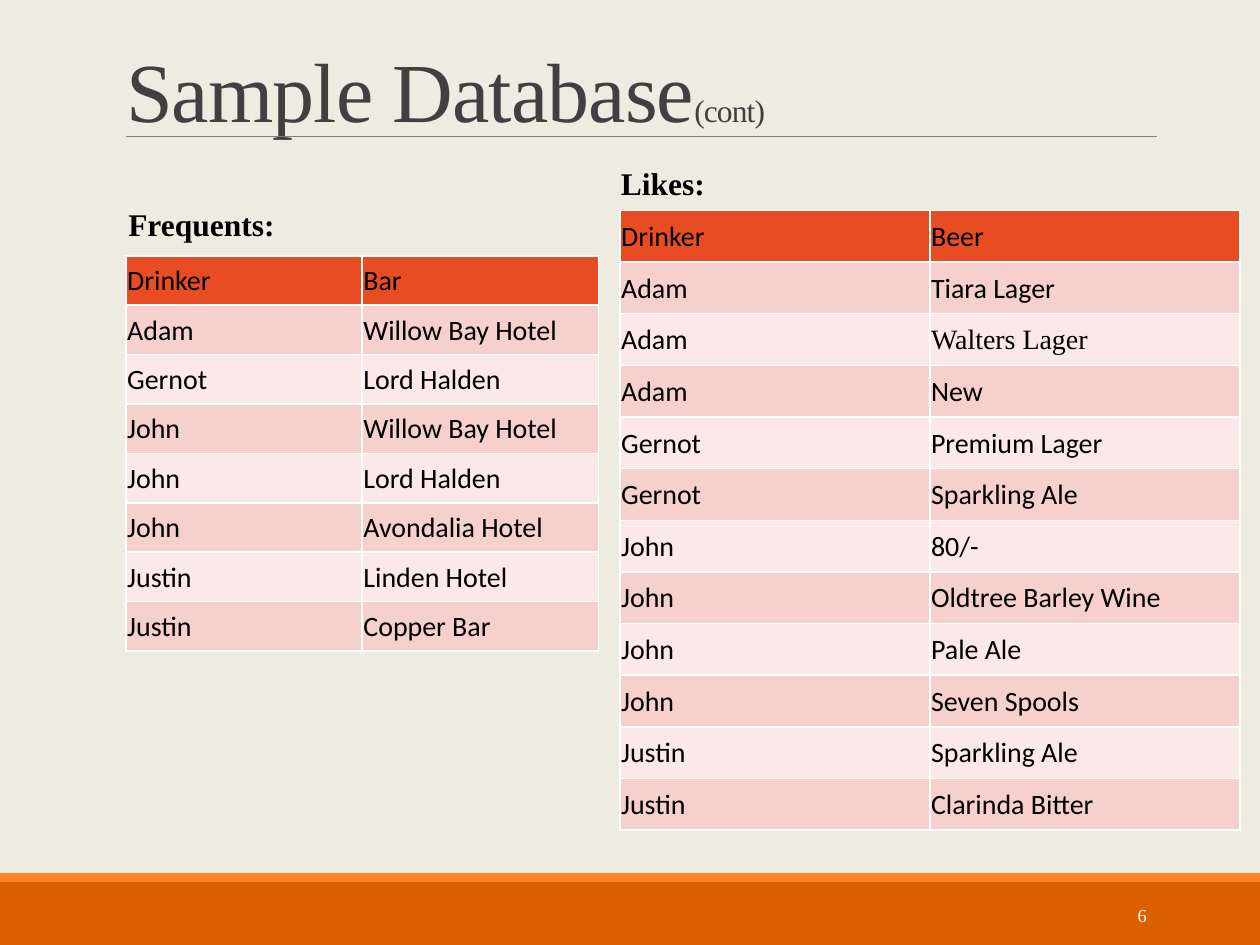
from dataclasses import dataclass

from lxml.etree import SubElement
from pptx import Presentation
from pptx.dml.color import RGBColor
from pptx.enum.shapes import MSO_CONNECTOR, MSO_SHAPE
from pptx.enum.text import MSO_ANCHOR, PP_ALIGN
from pptx.oxml.ns import qn
from pptx.slide import Slide
from pptx.text.text import Font
from pptx.util import Inches, Pt

SERIF = "Times New Roman"
SANS = "Calibri"
HEADER_FILL = "E84C22"
BAND_FILLS = ("F6D0CD", "FBE9E8")


@dataclass
class Band:
    top: float
    height: float
    color: str


@dataclass
class Label:
    text: str
    left: float
    top: float
    width: float
    height: float
    size: float = 18
    color: str = "000000"
    bold: bool = True
    align: PP_ALIGN = PP_ALIGN.LEFT
    anchor: MSO_ANCHOR = MSO_ANCHOR.TOP


@dataclass
class Relation:
    left: float
    top: float
    width: float
    height: float
    rows: list[tuple[str, str]]
    serif_values: tuple[str, ...] = ()


BANDS = [Band(7, 0.5, "DC5F00"), Band(6.93, 0.07, "FF8427")]

LABELS = [
    Label("Likes:", 4.83, 1.25, 1.33, 0.42),
    Label("Frequents:", 0.92, 1.58, 1.67, 0.4),
    Label("6", 8.12, 7.06, 1.08, 0.4, 10.5, "FFFFFF", False,
          PP_ALIGN.RIGHT, MSO_ANCHOR.MIDDLE),
]

LIKES = Relation(4.92, 1.67, 4.92, 4.92, [
    ("Drinker", "Beer"),
    ("Adam", "Tiara Lager"),
    ("Adam", "Walters Lager"),
    ("Adam", "New"),
    ("Gernot", "Premium Lager"),
    ("Gernot", "Sparkling Ale"),
    ("John", "80/-"),
    ("John", "Oldtree Barley Wine"),
    ("John", "Pale Ale"),
    ("John", "Seven Spools"),
    ("Justin", "Sparkling Ale"),
    ("Justin", "Clarinda Bitter"),
], serif_values=("Walters Lager",))

FREQUENTS = Relation(1, 2.03, 3.75, 3.14, [
    ("Drinker", "Bar"),
    ("Adam", "Willow Bay Hotel"),
    ("Gernot", "Lord Halden"),
    ("John", "Willow Bay Hotel"),
    ("John", "Lord Halden"),
    ("John", "Avondalia Hotel"),
    ("Justin", "Linden Hotel"),
    ("Justin", "Copper Bar"),
])


def rgb(value: str) -> RGBColor:
    return RGBColor.from_string(value)


def style_font(font: Font, name: str, size: float, color: str, bold: bool = False) -> None:
    font.name = name
    font.size = Pt(size)
    font.bold = bold
    font.color.rgb = rgb(color)


def draw_band(slide: Slide, band: Band) -> None:
    bar = slide.shapes.add_shape(
        MSO_SHAPE.RECTANGLE, 0, Inches(band.top), Inches(10), Inches(band.height))
    bar.shadow.inherit = False
    bar.fill.solid()
    bar.fill.fore_color.rgb = rgb(band.color)
    bar.line.fill.background()


def draw_title_rule(slide: Slide) -> None:
    rule = slide.shapes.add_connector(
        MSO_CONNECTOR.STRAIGHT, Inches(1), Inches(1.08), Inches(9.18), Inches(1.08))
    rule.line.color.rgb = rgb("808080")
    rule.line.width = Pt(0.5)
    SubElement(rule._element.spPr, qn("a:effectLst"))


def fill_title(slide: Slide) -> None:
    title = slide.shapes.title
    title.left, title.top = Inches(0.9), Inches(0.31)
    title.width, title.height = Inches(8.25), Inches(0.85)
    title.text_frame.vertical_anchor = MSO_ANCHOR.BOTTOM
    heading = title.text_frame.paragraphs[0]
    heading.alignment = PP_ALIGN.LEFT
    heading.line_spacing = 0.85
    for text, size in (("Sample Database", 48), ("(cont)", 18)):
        run = heading.add_run()
        run.text = text
        style_font(run.font, SERIF, size, "404040")
        run._r.get_or_add_rPr().set("spc", "-50")


def draw_label(slide: Slide, label: Label) -> None:
    box = slide.shapes.add_textbox(
        Inches(label.left), Inches(label.top), Inches(label.width), Inches(label.height))
    frame = box.text_frame
    frame.word_wrap = True
    frame.vertical_anchor = label.anchor
    frame.text = label.text
    paragraph = frame.paragraphs[0]
    paragraph.alignment = label.align
    style_font(paragraph.runs[0].font, SERIF, label.size, label.color, label.bold)


def draw_relation(slide: Slide, relation: Relation) -> None:
    """Draw a table; its default style supplies the white cell borders."""
    table = slide.shapes.add_table(
        len(relation.rows), len(relation.rows[0]), Inches(relation.left),
        Inches(relation.top), Inches(relation.width), Inches(relation.height)).table
    for row, values in enumerate(relation.rows):
        fill = BAND_FILLS[(row - 1) % 2] if row else HEADER_FILL
        for column, value in enumerate(values):
            cell = table.cell(row, column)
            cell.fill.solid()
            cell.fill.fore_color.rgb = rgb(fill)
            cell.vertical_anchor = MSO_ANCHOR.MIDDLE
            cell.margin_left = cell.margin_top = cell.margin_right = Inches(0.01)
            cell.margin_bottom = 0
            cell.text_frame.text = value
            name = SERIF if value in relation.serif_values else SANS
            style_font(cell.text_frame.paragraphs[0].runs[0].font, name, 16, "000000")


def main() -> None:
    presentation = Presentation()
    presentation.slide_width, presentation.slide_height = Inches(10), Inches(7.5)
    slide = presentation.slides.add_slide(presentation.slide_layouts[5])
    slide.background.fill.solid()
    slide.background.fill.fore_color.rgb = rgb("EEECE1")

    for band in BANDS:
        draw_band(slide, band)
    draw_title_rule(slide)
    fill_title(slide)
    for relation in (LIKES, FREQUENTS):
        draw_relation(slide, relation)
    for label in LABELS:
        draw_label(slide, label)
    presentation.save("out.pptx")


if __name__ == "__main__":
    main()
